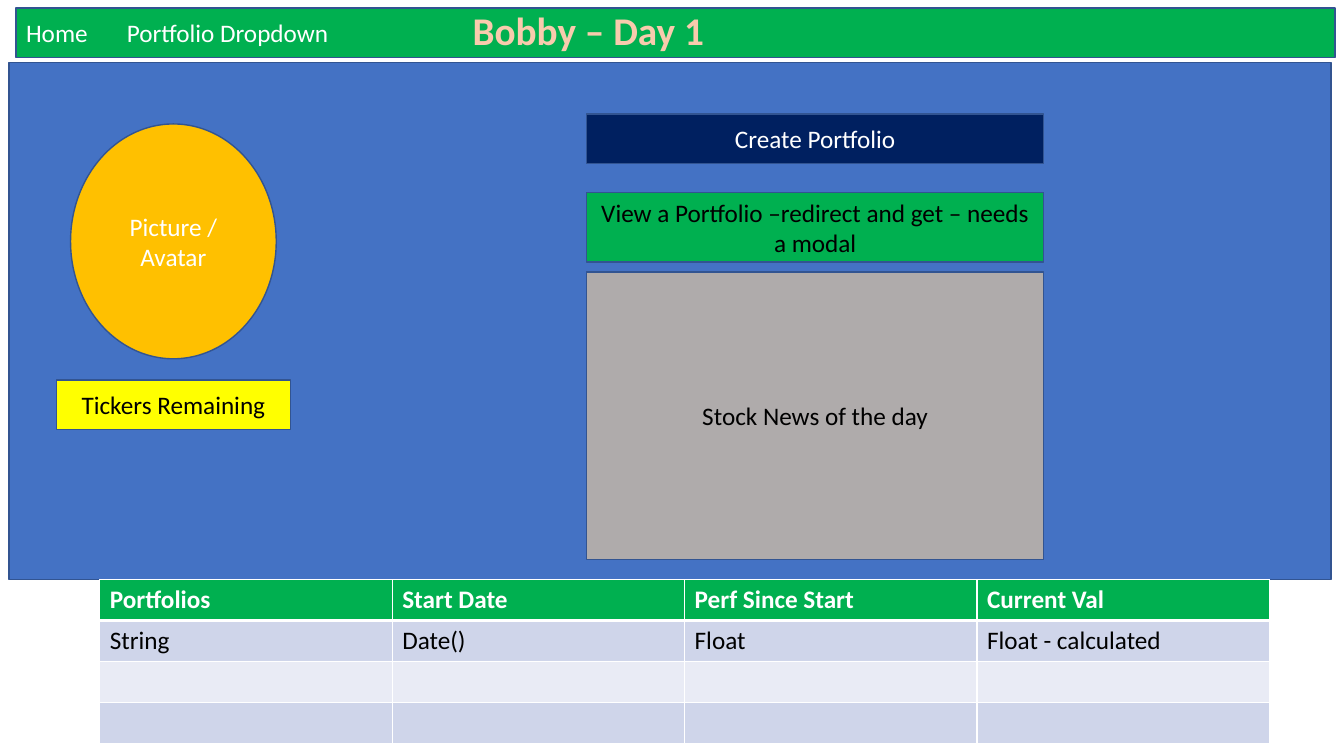
from lxml import etree
from pptx import Presentation
from pptx.dml.color import RGBColor
from pptx.enum.shapes import MSO_SHAPE
from pptx.enum.text import MSO_ANCHOR, MSO_AUTO_SIZE, PP_ALIGN
from pptx.oxml.ns import qn
from pptx.util import Inches, Pt

WHITE = RGBColor(0xFF, 0xFF, 0xFF)
BLACK = RGBColor(0x00, 0x00, 0x00)
BLUE = RGBColor(0x44, 0x72, 0xC4)
EDGE = RGBColor(0x32, 0x54, 0x91)
NAVY = RGBColor(0x00, 0x20, 0x60)
GREEN = RGBColor(0x00, 0xB0, 0x50)
GOLD = RGBColor(0xFF, 0xC0, 0x00)
YELLOW = RGBColor(0xFF, 0xFF, 0x00)
GREY = RGBColor(0xAF, 0xAB, 0xAB)
PEACH = RGBColor(0xF8, 0xCB, 0xAD)
ORANGE = RGBColor(0xED, 0x7D, 0x31)
BAND_DARK = RGBColor(0xCF, 0xD5, 0xEA)
BAND_LIGHT = RGBColor(0xE9, 0xEB, 0xF5)


def make_line(tag, color, width):
    """Return a solid DrawingML line element; width is in points."""
    ln = etree.Element(qn(tag), w=str(Pt(width)))
    fill = etree.SubElement(ln, qn("a:solidFill"))
    etree.SubElement(fill, qn("a:srgbClr"), val=str(color))
    return ln


class SlideBuilder:
    font = {"name": "Calibri", "size": Pt(18), "bold": False}

    def __init__(self, slide):
        self.slide = slide

    def add_text(self, tf, text, color, align=PP_ALIGN.CENTER, **changes):
        p = tf.paragraphs[0]
        p.alignment = align
        r = p.add_run()
        r.text = text
        for name, value in {**self.font, **changes}.items():
            setattr(r.font, name, value)
        r.font.color.rgb = color
        return r

    def shape(self, box, fill, text="", color=BLACK, kind=MSO_SHAPE.RECTANGLE,
              align=PP_ALIGN.CENTER):
        s = self.slide.shapes.add_shape(kind, *map(Inches, box))
        s.shadow.inherit = False
        s.fill.solid()
        s.fill.fore_color.rgb = fill
        s.line.color.rgb = EDGE
        s.line.width = Pt(1)
        tf = s.text_frame
        tf.word_wrap = True
        tf.vertical_anchor = MSO_ANCHOR.MIDDLE
        if text:
            self.add_text(tf, text, color, align)

    def title(self, box, text):
        tf = self.slide.shapes.add_textbox(*map(Inches, box)).text_frame
        tf.word_wrap = True
        tf.auto_size = MSO_AUTO_SIZE.SHAPE_TO_FIT_TEXT
        r = self.add_text(tf, text, PEACH, size=Pt(28), bold=True)
        r._r.get_or_add_rPr().insert(0, make_line("a:ln", ORANGE, 1.75))

    def table(self, box, rows):
        tbl = self.slide.shapes.add_table(
            len(rows), len(rows[0]), *map(Inches, box)).table
        for i, row in enumerate(rows):
            header = i == 0
            fill = GREEN if header else BAND_DARK if i % 2 else BAND_LIGHT
            borders = {"L": 1, "R": 1, "T": 3 if i == 1 else 1,
                       "B": 3 if header else 1}
            for j, text in enumerate(row):
                cell = tbl.cell(i, j)
                cell.fill.solid()
                cell.fill.fore_color.rgb = fill
                tcPr = cell._tc.get_or_add_tcPr()
                for k, (side, width) in enumerate(borders.items()):
                    tcPr.insert(k, make_line(f"a:ln{side}", WHITE, width))
                if text:
                    self.add_text(cell.text_frame, text, WHITE if header else BLACK,
                                  PP_ALIGN.LEFT, bold=header)


def main():
    prs = Presentation()
    prs.slide_width, prs.slide_height = Inches(13.33), Inches(7.5)
    b = SlideBuilder(prs.slides.add_slide(prs.slide_layouts[6]))

    b.shape((0.09, 0.62, 13.11, 5.13), BLUE)
    b.shape((0.7, 1.23, 2.04, 2.33), GOLD, "Picture / Avatar", WHITE, MSO_SHAPE.OVAL)

    panels = [
        (1.13, 0.49, NAVY, "Create Portfolio", WHITE),
        (1.91, 0.69, GREEN, "View a Portfolio –redirect and get – needs a modal", BLACK),
        (2.7, 2.85, GREY, "Stock News of the day", BLACK),
    ]
    for top, height, fill, text, color in panels:
        b.shape((5.82, top, 4.53, height), fill, text, color)

    b.table((0.99, 5.75, 11.6, 1.62), [
        ["Portfolios", "Start Date", "Perf Since Start", "Current Val"],
        ["String", "Date()", "Float", "Float - calculated"],
        [""] * 4,
        [""] * 4,
    ])
    b.shape((0.16, 0.08, 13.08, 0.49), GREEN, "Home\tPortfolio Dropdown", WHITE,
            align=PP_ALIGN.LEFT)
    b.shape((0.56, 3.77, 2.32, 0.49), YELLOW, "Tickers Remaining")
    b.title((3.9, 0.01, 3.87, 0.57), "Bobby – Day 1")

    prs.save("out.pptx")


if __name__ == "__main__":
    main()
